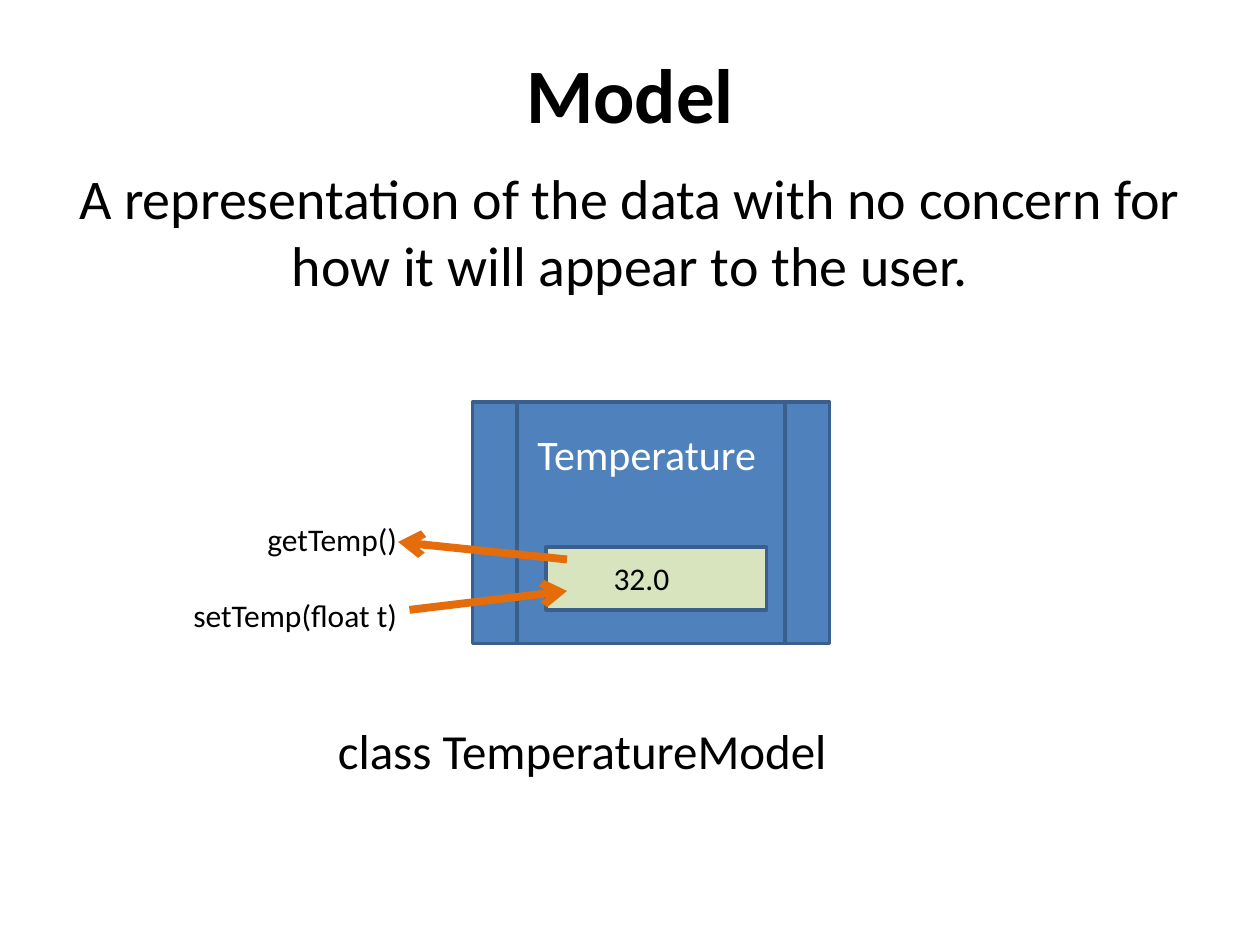
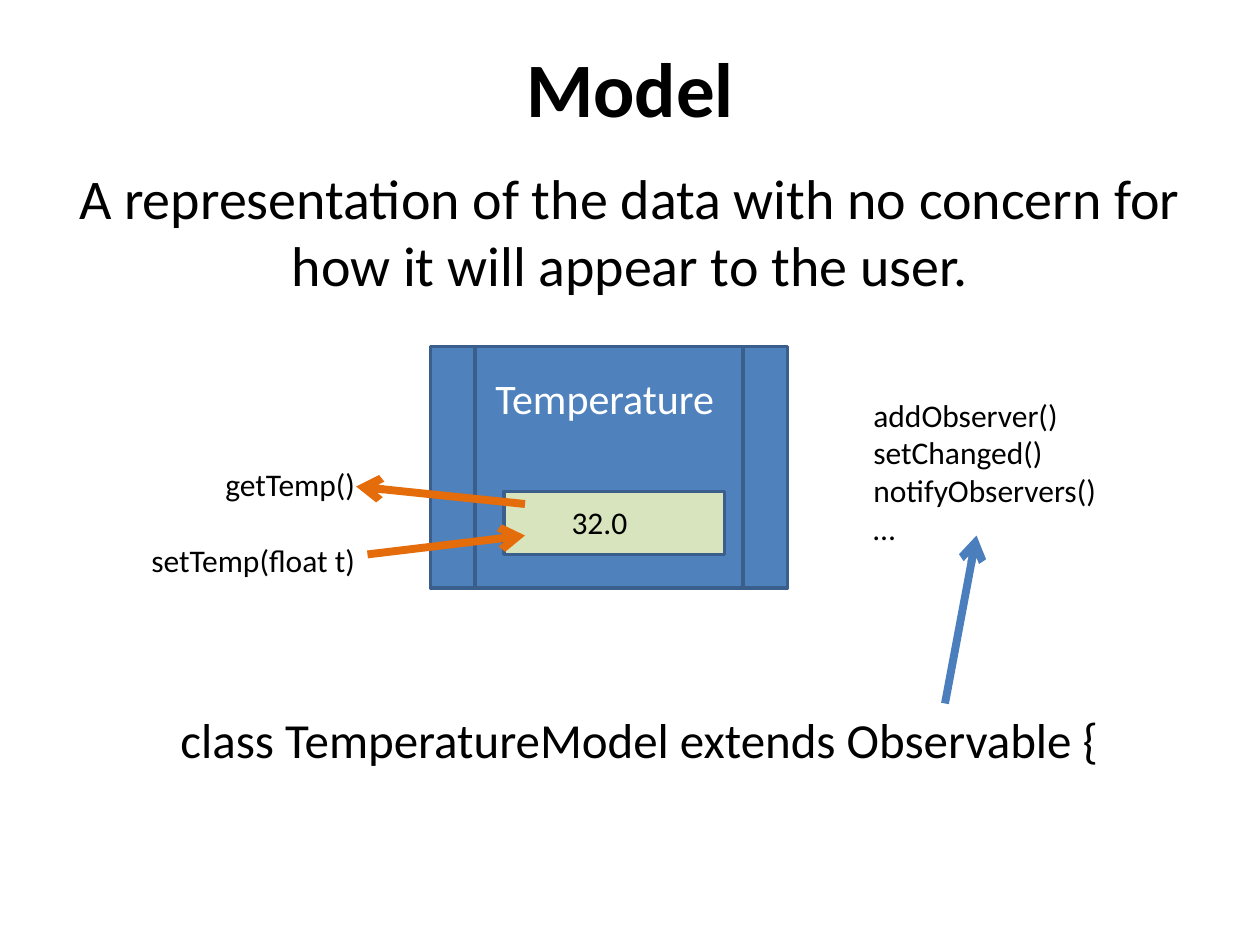
"""Build two slides that present the model class of a temperature program."""
from lxml.etree import SubElement
from pptx import Presentation
from pptx.dml.color import RGBColor
from pptx.enum.shapes import MSO_CONNECTOR, MSO_SHAPE
from pptx.enum.text import MSO_ANCHOR, PP_ALIGN
from pptx.oxml.ns import qn
from pptx.util import Pt

COLORS = {
    "text": "000000",
    "white": "FFFFFF",
    "process": "4F81BD",
    "outline": "3A5F8C",
    "value": "D7E4BD",
    "access": "E46C0A",
    "inherit": "4B7EBC",
}
FONT = "Calibri"
SUMMARY = "A representation of the data with no concern for how it will appear to the user."
SLIDES = [
    {"title_height": 62.6, "origin": (270, 229.7),
     "declaration": "class TemperatureModel", "declaration_at": (186, 408, 352, 41)},
    {"title_height": 56, "origin": (246, 198),
     "declaration": "class TemperatureModel extends Observable {",
     "declaration_at": (96, 402, 543.5, 41),
     "inherited": ["addObserver()", "setChanged()", "notifyObservers()", "…"]},
]


def add_text(page, lines, at, size, color="text", align=PP_ALIGN.LEFT, gap=0):
    box = page.shapes.add_textbox(*map(Pt, at))
    frame = box.text_frame
    frame.word_wrap = True
    frame.text = "\n".join(lines)
    for index, para in enumerate(frame.paragraphs):
        para.alignment = align
        para.space_before = Pt(gap if index else 0)
        para.font.name = FONT
        para.font.size = Pt(size)
        para.font.color.rgb = RGBColor.from_string(COLORS[color])


def add_arrow(page, start, end, color):
    arrow = page.shapes.add_connector(MSO_CONNECTOR.STRAIGHT, *map(Pt, (*start, *end)))
    arrow.line.width = Pt(4.5)
    arrow.line.color.rgb = RGBColor.from_string(COLORS[color])
    SubElement(arrow.line._get_or_add_ln(), qn("a:tailEnd"), type="arrow")
    SubElement(arrow._element.spPr, qn("a:effectLst"))


deck = Presentation()
deck.slide_width, deck.slide_height = Pt(720), Pt(540)

for content in SLIDES:
    page = deck.slides.add_slide(deck.slide_layouts[5])
    title = page.shapes.title
    title.left, title.top = Pt(36), Pt(21.6)
    title.width, title.height = Pt(648), Pt(content["title_height"])
    title.text_frame.text = "Model"
    title.text_frame.vertical_anchor = MSO_ANCHOR.MIDDLE
    para = title.text_frame.paragraphs[0]
    para.alignment = PP_ALIGN.CENTER
    para.font.name, para.font.size, para.font.bold = FONT, Pt(44), True
    para.font.color.rgb = RGBColor.from_string(COLORS["text"])

    add_text(page, [SUMMARY], (36, 90, 648, 102), 32, align=PP_ALIGN.CENTER)

    left, top = content["origin"]
    for preset, at, fill in [
        (MSO_SHAPE.FLOWCHART_PREDEFINED_PROCESS, (left, top, 204, 138), "process"),
        (MSO_SHAPE.RECTANGLE, (left + 42, top + 82.8, 126, 36), "value"),
    ]:
        shape = page.shapes.add_shape(preset, *map(Pt, at))
        shape.shadow.inherit = False
        shape.fill.solid()
        shape.fill.fore_color.rgb = RGBColor.from_string(COLORS[fill])
        shape.line.width = Pt(2)
        shape.line.color.rgb = RGBColor.from_string(COLORS["outline"])

    add_text(page, ["Temperature"], (left + 30, top + 11.5, 150, 36), 24, "white")
    add_text(page, ["32.0"], (left + 73.5, top + 86, 63, 29), 18)
    add_text(page, ["getTemp()", "setTemp(float t)"], (left - 180, top + 64, 144, 73), 18,
             align=PP_ALIGN.RIGHT, gap=22)
    add_arrow(page, (left + 54, top + 90), (left - 42.5, top + 80), "access")
    add_arrow(page, (left - 36, top + 118.8), (left + 54, top + 108), "access")

    add_text(page, [content["declaration"]], content["declaration_at"], 28)
    if "inherited" in content:
        add_text(page, content["inherited"], (492, 222.5, 172, 94.5), 18)
        add_arrow(page, (540, 402), (558, 306), "inherit")

deck.save("out.pptx")
